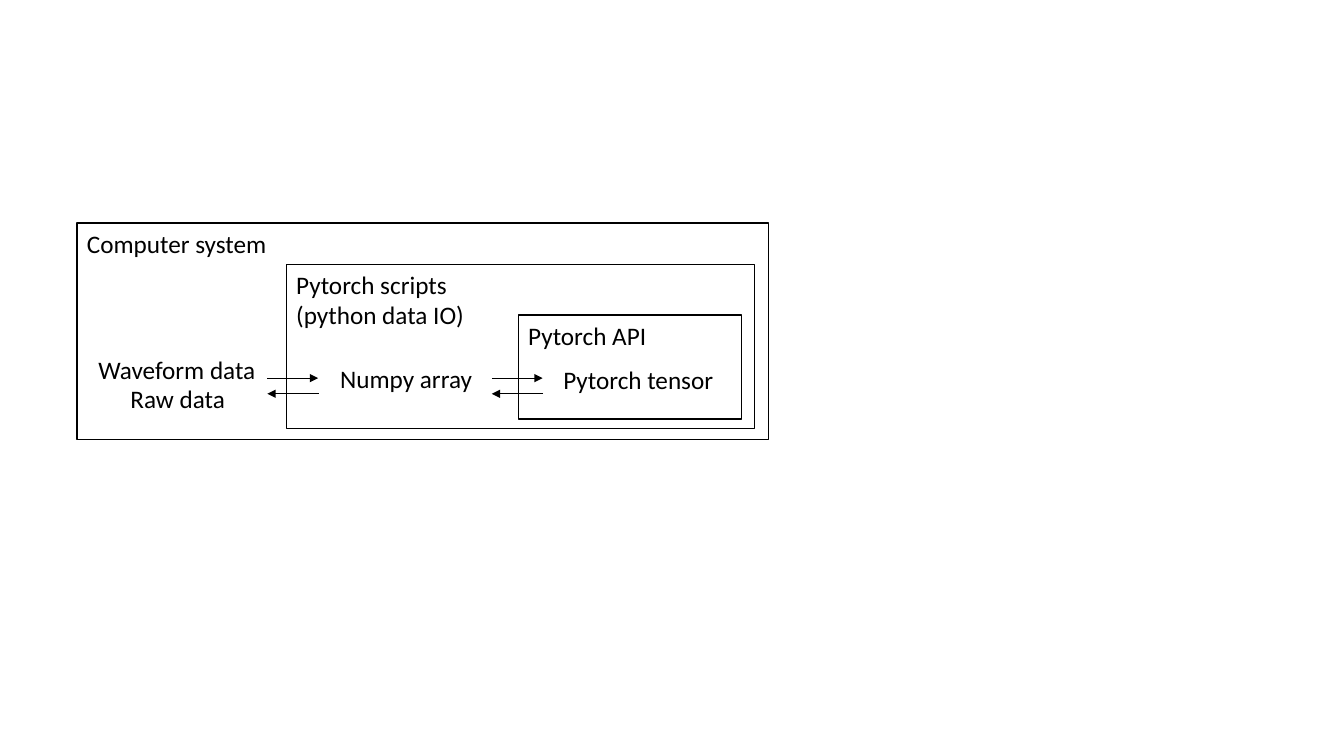
"""Builds a slide showing how waveform data moves between the system, Numpy and Pytorch."""
from lxml import etree
from pptx import Presentation
from pptx.dml.color import RGBColor
from pptx.enum.shapes import MSO_CONNECTOR, MSO_SHAPE
from pptx.enum.text import MSO_ANCHOR, MSO_AUTO_SIZE, PP_ALIGN
from pptx.oxml.ns import qn
from pptx.util import Pt

RECT = MSO_SHAPE.RECTANGLE
STRAIGHT = MSO_CONNECTOR.STRAIGHT
TOP = MSO_ANCHOR.TOP
GROW = MSO_AUTO_SIZE.SHAPE_TO_FIT_TEXT
LEFT, CENTER = PP_ALIGN.LEFT, PP_ALIGN.CENTER
COLORS = {"ink": "000000"}
INK = RGBColor.from_string(COLORS["ink"])


def write(sp, text, align=LEFT, size=18, font="Calibri"):
    tf = sp.text_frame
    tf.word_wrap = True
    tf.vertical_anchor = TOP
    for i, line in enumerate(text.split("\n")):
        p = tf.paragraphs[0] if i == 0 else tf.add_paragraph()
        p.alignment = align
        r = p.add_run()
        r.text = line
        r.font.size = Pt(size)
        r.font.name = font
        r.font.color.rgb = INK


prs = Presentation()
prs.slide_width, prs.slide_height = Pt(960), Pt(540)
s = prs.slides.add_slide(prs.slide_layouts[6])

boxes = [
    ("Computer system", 55, 159.3, 494, 154.8),
    ("Pytorch scripts\n(python data IO)", 204.5, 188.9, 334.3, 117),
    ("Pytorch API", 370.2, 225, 159.3, 74.2),
]
for text, x, y, w, h in boxes:
    sp = s.shapes.add_shape(RECT, Pt(x), Pt(y), Pt(w), Pt(h))
    sp.shadow.inherit = False
    sp.fill.background()
    sp.line.color.rgb = INK
    sp.line.width = Pt(1)
    write(sp, text)

labels = [
    ("Waveform data", 63.2, 249.2, LEFT),
    ("Raw data", 63.2, 270.3, CENTER),
    ("Numpy array", 235.9, 255.7, LEFT),
    ("Pytorch tensor", 395.3, 256.5, LEFT),
]
for text, x, y, align in labels:
    sp = s.shapes.add_textbox(Pt(x), Pt(y), Pt(127.5), Pt(29))
    write(sp, text, align=align)
    sp.text_frame.auto_size = GROW

for x in (191, 351.3):
    for start, end, y in ((x, x + 36.3, 270.1), (x + 36.6, x, 281.3)):
        arrow = s.shapes.add_connector(STRAIGHT, Pt(start), Pt(y), Pt(end), Pt(y))
        arrow.line.color.rgb = INK
        arrow.line.width = Pt(0.5)
        etree.SubElement(arrow.line._get_or_add_ln(), qn("a:tailEnd"), type="triangle")
        etree.SubElement(arrow._element.spPr, qn("a:effectLst"))

prs.save("out.pptx")
